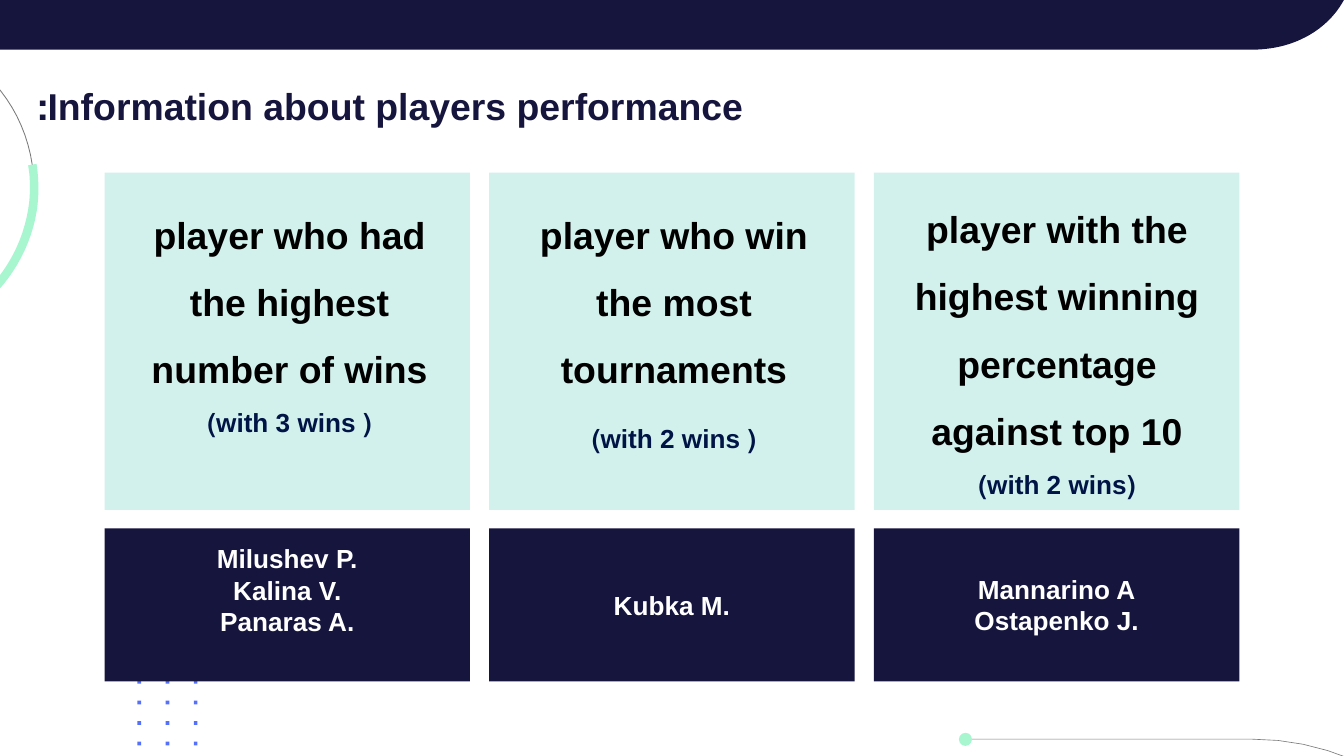
"""Build the slide about players' performance."""
from dataclasses import dataclass
from itertools import product

from lxml.etree import SubElement
from pptx import Presentation
from pptx.dml.color import RGBColor
from pptx.enum.shapes import MSO_SHAPE as Shape
from pptx.enum.text import MSO_ANCHOR as Anchor, PP_ALIGN as Align
from pptx.oxml.ns import qn
from pptx.util import Pt

NAVY = RGBColor(0x15, 0x15, 0x3E)
MINT = RGBColor(0xA7, 0xF6, 0xCF)
TEAL = RGBColor(0x89, 0xDB, 0xCC)
BLUE = RGBColor(0x55, 0x71, 0xFB)
GREY = RGBColor(0x7A, 0x7A, 0x7A)
INK = RGBColor(0x01, 0x14, 0x46)
BLACK = RGBColor(0, 0, 0)
WHITE = RGBColor(0xFF, 0xFF, 0xFF)

CARD_LEFT, CARD_PITCH, CARD_WIDTH = 56, 206.1, 195.8


@dataclass(frozen=True)
class Outline:
    """Points of an outline; a step holds one line end or three curve points."""
    start: tuple
    steps: tuple
    fill: RGBColor | None = None
    line_width: float = 0


@dataclass(frozen=True)
class Award:
    """One question card with its winners."""
    question: str
    score: str
    winners: tuple
    text_left: float
    text_top: float
    text_height: float
    score_spacing: float = 1.5
    winners_inset: float = 7.2


OUTLINES = (
    Outline((0, 0), (((0, 26.6),), ((673.2, 26.6),),
                     ((694.1, 25.9), (711.4, 15.8), (720, 0))), fill=NAVY),
    Outline((517, 396), (((671, 396),),
                         ((781.2, 396), (870.5, 530.6), (870.5, 697)),
                         ((870.5, 792.7),)), line_width=0.35),
    Outline((-52.6, 180.7), (((-97.2, 186.5), (-138.2, 155.5), (-144.7, 110.9)),
                             ((-151.2, 66.2), (-119.5, 24.5), (-74.9, 18.7)),
                             ((-30.2, 12.2), (10.8, 43.2), (17.3, 88.6))),
            line_width=0.44),
    Outline((-52.6, 178.6), (((-51.8, 182.9),),
                             ((-15.1, 177.8), (14, 148.3), (19.7, 113)),
                             ((20.9, 105.1), (20.9, 96.5), (19.6, 87.8)),
                             ((15.1, 88.6),),
                             ((16.4, 96), (16.4, 104.4), (15.1, 112.3)),
                             ((9.4, 146.2), (-17.3, 173.5), (-52.6, 178.6))),
            fill=MINT),
)

AWARDS = (
    Award("player who had the highest number of wins", "( with 3 wins)",
          ("Milushev P.", "Kalina V.", "Panaras A."), 64.1, 97.9, 177.8,
          winners_inset=23.4),
    Award("player who win the most tournaments", "( with 2 wins)",
          ("Kubka M.",), 270, 97.9, 150.5, score_spacing=2),
    Award("player with the highest winning percentage against top 10",
          "(with 2 wins)", ("Mannarino A", "Ostapenko J."), 475.2, 95, 177.8),
)


def curve_points(start: tuple, curve: tuple, count: int = 24) -> list:
    """Sample a cubic curve after its start."""
    points = []
    for step in range(1, count + 1):
        t = step / count
        weights = ((1 - t) ** 3, 3 * t * (1 - t) ** 2, 3 * t * t * (1 - t), t ** 3)
        points.append(tuple(sum(w * p[axis] for w, p in zip(weights, (start, *curve)))
                            for axis in (0, 1)))
    return points


def draw_outline(slide, outline: Outline) -> None:
    """Draw a filled or a thin grey open outline."""
    points = [outline.start]
    for step in outline.steps:
        points += step if len(step) == 1 else curve_points(points[-1], step)
    (left, top), *rest = [(Pt(x), Pt(y)) for x, y in points]
    builder = slide.shapes.build_freeform(left, top)
    builder.add_line_segments(rest, close=outline.fill is not None)
    form = builder.convert_to_shape()
    form.shadow.inherit = False
    if outline.fill is None:
        form.fill.background()
        form.line.color.rgb = GREY
        form.line.width = Pt(outline.line_width)
    else:
        form.fill.solid()
        form.fill.fore_color.rgb = outline.fill
        form.line.fill.background()


def draw_block(slide, kind: Shape, left: float, top: float, width: float,
               height: float, color: RGBColor, opacity: int = 100):
    """Draw a filled preset shape without a line."""
    block = slide.shapes.add_shape(kind, Pt(left), Pt(top), Pt(width), Pt(height))
    block.shadow.inherit = False
    block.fill.solid()
    block.fill.fore_color.rgb = color
    block.line.fill.background()
    if opacity < 100:
        tint = block.fill._xPr.find(qn("a:solidFill"))[0]
        SubElement(tint, qn("a:alpha")).set("val", str(opacity * 1000))
    return block


def write(frame, text: str, *, size: float, color: RGBColor, align=Align.CENTER,
          spacing: float = 1, rtl: bool = False) -> None:
    """Add one bold paragraph, using the first one while it is empty."""
    paragraph = frame.paragraphs[0] if not frame.text else frame.add_paragraph()
    paragraph.alignment = align
    paragraph.line_spacing = spacing
    if rtl:
        paragraph._p.get_or_add_pPr().set("rtl", "1")
    run = paragraph.add_run()
    run.text = text
    run.font.name = "Arial"
    run.font.size = Pt(size)
    run.font.bold = True
    run.font.color.rgb = color


def add_text_frame(slide, left: float, top: float, width: float, height: float):
    """Add a wrapping text box and return its frame."""
    frame = slide.shapes.add_textbox(Pt(left), Pt(top), Pt(width), Pt(height)).text_frame
    frame.word_wrap = True
    return frame


def draw_winners(slide, left: float, award: Award) -> None:
    """Draw the navy block with the winners' names."""
    frame = draw_block(slide, Shape.RECTANGLE, left, 283, CARD_WIDTH, 82, NAVY).text_frame
    frame.word_wrap = True
    frame.vertical_anchor = Anchor.MIDDLE
    frame.margin_left = frame.margin_right = frame.margin_top = Pt(7.2)
    frame.margin_bottom = Pt(award.winners_inset)
    for winner in award.winners:
        write(frame, winner, size=14, color=WHITE)


def draw_question(slide, award: Award) -> None:
    """Write the question and the score over a card."""
    frame = add_text_frame(slide, award.text_left, award.text_top, 182.2,
                           award.text_height)
    write(frame, award.question, size=20, color=BLACK, spacing=1.5, rtl=True)
    write(frame, award.score, size=14, color=INK, spacing=award.score_spacing, rtl=True)


def main() -> None:
    """Build and save the slide."""
    deck = Presentation()
    deck.slide_width, deck.slide_height = Pt(720), Pt(405)
    slide = deck.slides.add_slide(deck.slide_layouts[6])

    for outline in OUTLINES:
        draw_outline(slide, outline)
    draw_block(slide, Shape.OVAL, 513.7, 392.6, 7, 7, MINT)
    for row, column in product(range(4), range(3)):
        draw_block(slide, Shape.RECTANGLE, 73.6 + 15.1 * column, 364.3 + 11 * row,
                   2, 2, BLUE)

    lefts = [CARD_LEFT + CARD_PITCH * index for index in range(len(AWARDS))]
    for left in lefts:
        draw_block(slide, Shape.RECTANGLE, left, 92.5, CARD_WIDTH, 180.7, TEAL, opacity=37)
    for left, award in zip(lefts, AWARDS):
        draw_winners(slide, left, award)

    title = add_text_frame(slide, 13.4, 41, 720, 31.5)
    write(title, "Information about players performance:", size=20, color=NAVY,
          align=Align.LEFT, rtl=True)
    for award in AWARDS:
        draw_question(slide, award)
    deck.save("out.pptx")


if __name__ == "__main__":
    main()
